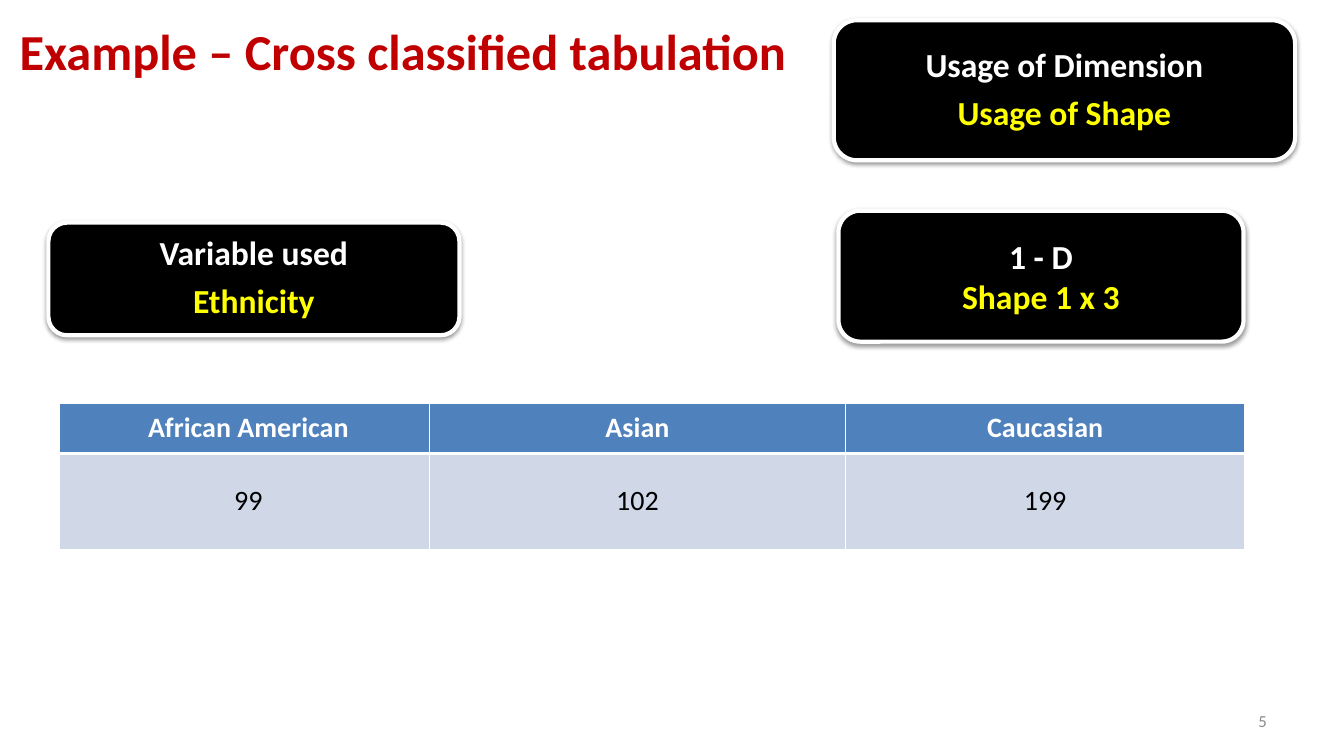
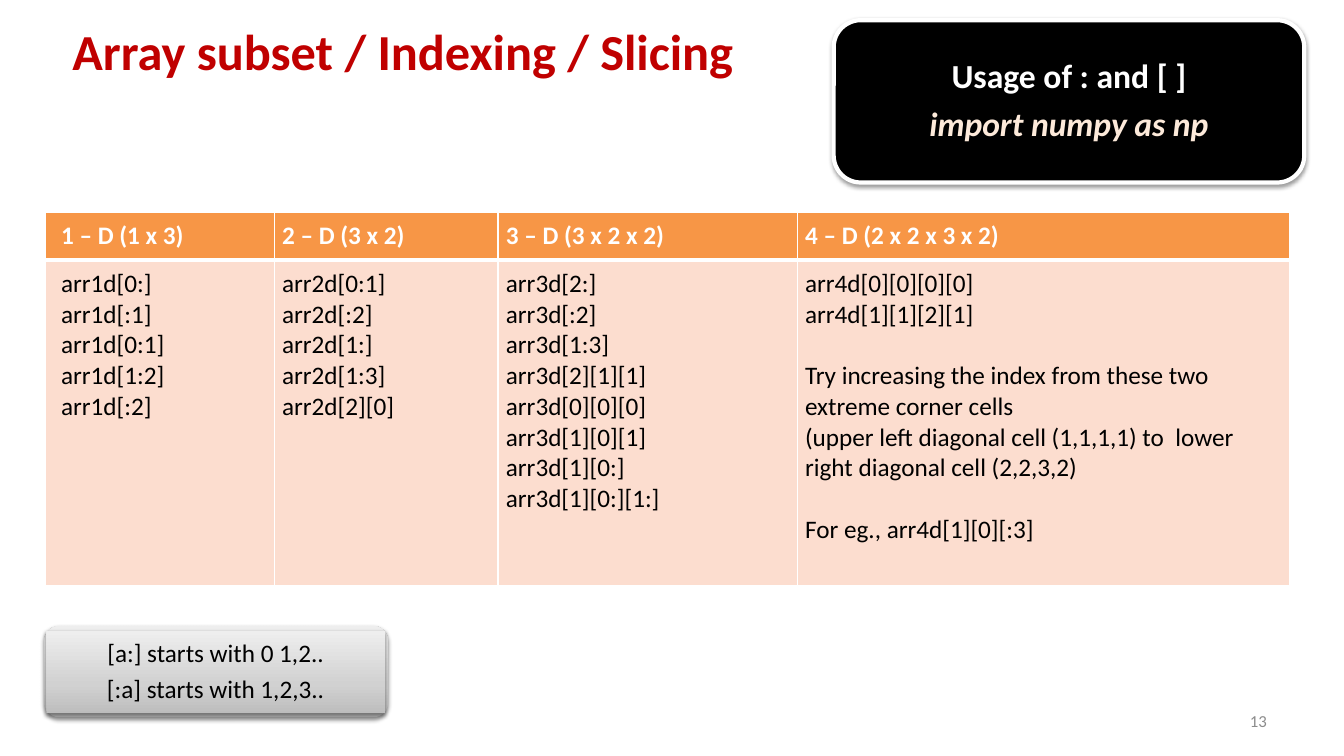
"""Build two slides on cross tabulation and array slicing."""
from copy import deepcopy

from pptx import Presentation
from pptx.dml.color import RGBColor
from pptx.enum.shapes import MSO_SHAPE
from pptx.enum.text import MSO_ANCHOR, PP_ALIGN
from pptx.oxml import parse_xml
from pptx.oxml.ns import nsdecls, qn
from pptx.util import Cm, Pt

COLOURS = {
    "title": "C00000", "number": "8C8C8C", "white": "FFFFFF", "black": "000000",
    "yellow": "FFFF00", "cream": "FDEADA", "blue": "4F81BD", "pale blue": "D0D8E8",
    "orange": "F79646", "pale orange": "FCDDCF",
}
GREYS = [(0, "BDBDBD"), (0.35, "D1D1D1"), (1, "EEEEEE")]
TITLE = {"size": Pt(36), "bold": True}
NUMBER = {"size": Pt(12)}
CARD = {"size": Pt(24), "bold": True}
NOTE = {"size": Pt(18)}
CENTRED = {"alignment": PP_ALIGN.CENTER}
RIGHT = {"alignment": PP_ALIGN.RIGHT}
LEFT = {"alignment": PP_ALIGN.LEFT}
CARD_SPACED = CENTRED | {"line_spacing": 0.9, "space_after": Pt(8.4)}
NOTE_SPACED = CENTRED | {"line_spacing": 0.9, "space_after": Pt(6.3)}
CARD_FRAME = {
    "word_wrap": True, "vertical_anchor": MSO_ANCHOR.MIDDLE,
    "margin_left": Cm(0.3), "margin_right": Cm(0.3),
    "margin_top": Cm(0.3), "margin_bottom": Cm(0.3),
}
BLANK_LINE = Pt(22)

SLIDES = [
    {
        "title": "Example – Cross classified tabulation",
        "number": "5",
        "cards": [
            ((21.01, 0.51, 11.63, 3.53), "Usage of Dimension", "Usage of Shape", "yellow", {}, CARD_SPACED),
            ((21.13, 5.31, 10.21, 3.3), "1 - D", "Shape 1 x 3", "yellow", {}, CENTRED),
            ((1.22, 5.61, 10.36, 2.84), "Variable used", "Ethnicity", "yellow", {}, CARD_SPACED),
        ],
        "table": {
            "origin": (1.5, 10.16), "columns": (9.32, 10.49, 10.06), "rows": (1.27, 2.41),
            "fills": ("blue", "pale blue"), "size": Pt(20),
            "paragraph": CENTRED, "anchor": MSO_ANCHOR.MIDDLE,
            "headings": ["African American", "Asian", "Caucasian"],
            "bodies": [[["99"]], [["102"]], [["199"]]],
        },
        "note": [],
    },
    {
        "title": "Array subset / Indexing / Slicing",
        "number": "13",
        "cards": [
            ((21.01, 0.51, 11.86, 4.09), "Usage of : and [ ]", "import numpy as np", "cream",
             {"italic": True}, CARD_SPACED),
        ],
        "table": {
            "origin": (1.14, 5.36), "columns": (5.77, 5.64, 7.54, 12.4), "rows": (1.2, 8.2),
            "fills": ("orange", "pale orange"), "size": Pt(18),
            "paragraph": LEFT, "anchor": MSO_ANCHOR.TOP,
            "headings": ["1 – D (1 x 3)", "2 – D (3 x 2)", "3 – D (3 x 2 x 2)", "4 – D (2 x 2 x 3 x 2)"],
            "bodies": [
                [["arr1d[0:]", "arr1d[:1]", "arr1d[0:1]", "arr1d[1:2]", "arr1d[:2]"]],
                [["arr2d[0:1]", "arr2d[:2]", "arr2d[1:]", "arr2d[1:3]", "arr2d[2][0]"]],
                [["arr3d[2:]", "arr3d[:2]", "arr3d[1:3]", "arr3d[2][1][1]", "arr3d[0][0][0]",
                  "arr3d[1][0][1]", "arr3d[1][0:]", "arr3d[1][0:][1:]"]],
                [["arr4d[0][0][0][0]", "arr4d[1][1][2][1]"],
                 ["Try increasing the index from these two extreme corner cells",
                  "(upper left diagonal cell (1,1,1,1) to  lower right diagonal cell (2,2,3,2)"],
                 ["For eg., arr4d[1][0][:3]"]],
            ],
        },
        "note": ["[a:] starts with 0 1,2..", "[:a] starts with 1,2,3.."],
    },
]


def write(frame, lines, colour, font_format, paragraph_format):
    """Append lines to a text frame and return the first new paragraph."""
    added = []
    for line in lines:
        paragraph = frame.paragraphs[0] if not frame.text else frame.add_paragraph()
        for name, value in paragraph_format.items():
            setattr(paragraph, name, value)
        run = paragraph.add_run()
        run.text = line
        for name, value in ({"name": "Calibri"} | font_format).items():
            setattr(run.font, name, value)
        run.font.color.rgb = RGBColor.from_string(COLOURS[colour])
        added.append(paragraph)
    return added[0]


def add_panel(slide, preset, box):
    """Add a softly shadowed shape with the shared text frame settings."""
    panel = slide.shapes.add_shape(preset, *map(Cm, box))
    panel.shadow.inherit = False
    panel._element.spPr.find(qn("a:effectLst")).append(parse_xml(
        f'<a:outerShdw {nsdecls("a")} blurRad="40000" dist="20000" dir="5400000" rotWithShape="0">'
        f'<a:srgbClr val="{COLOURS["black"]}"><a:alpha val="38000"/></a:srgbClr></a:outerShdw>'))
    for name, value in CARD_FRAME.items():
        setattr(panel.text_frame, name, value)
    return panel


deck = Presentation()
deck.slide_width, deck.slide_height = Cm(33.87), Cm(19.05)

for content in SLIDES:
    slide = deck.slides.add_slide(deck.slide_layouts[6])

    for part, box, colour, font_format, alignment in (
        ("title", (0.15, 0.25, 20.02, 2.06), "title", TITLE, CENTRED),
        ("number", (24.28, 17.65, 7.9, 1.02), "number", NUMBER, RIGHT),
    ):
        frame = slide.shapes.add_textbox(*map(Cm, box)).text_frame
        frame.word_wrap = True
        frame.vertical_anchor = MSO_ANCHOR.MIDDLE
        write(frame, [content[part]], colour, font_format, alignment)

    for box, heading, detail, accent, detail_format, spacing in content["cards"]:
        card = add_panel(slide, MSO_SHAPE.ROUNDED_RECTANGLE, box)
        card.fill.solid()
        card.fill.fore_color.rgb = RGBColor.from_string(COLOURS["black"])
        card.line.color.rgb = RGBColor.from_string(COLOURS["white"])
        card.line.width = Pt(3)
        write(card.text_frame, [heading], "white", CARD, spacing)
        write(card.text_frame, [detail], accent, CARD | detail_format, spacing)

    plan = content["table"]
    table = slide.shapes.add_table(
        2, len(plan["columns"]), *map(Cm, plan["origin"]),
        Cm(sum(plan["columns"])), Cm(sum(plan["rows"]))).table
    table.horz_banding = False
    for column, width in zip(table.columns, plan["columns"]):
        column.width = Cm(width)
    for row, height in zip(table.rows, plan["rows"]):
        row.height = Cm(height)
    contents = [[[[heading]] for heading in plan["headings"]], plan["bodies"]]
    for row_index, row_contents in enumerate(contents):
        is_header = row_index == 0
        thick_side = "B" if is_header else "T"
        for column_index, groups in enumerate(row_contents):
            cell = table.cell(row_index, column_index)
            cell.vertical_anchor = plan["anchor"]
            cell.margin_left = Cm(0.4 if column_index == 0 else 0.2)
            cell.margin_right = cell.margin_top = cell.margin_bottom = Cm(0.2)
            for side in "LRTB":
                width = Pt(3 if side == thick_side else 1)
                cell._tc.get_or_add_tcPr().append(parse_xml(
                    f'<a:ln{side} {nsdecls("a")} w="{width}"><a:solidFill>'
                    f'<a:srgbClr val="{COLOURS["white"]}"/></a:solidFill></a:ln{side}>'))
            cell.fill.solid()
            cell.fill.fore_color.rgb = RGBColor.from_string(COLOURS[plan["fills"][row_index]])
            for group_index, lines in enumerate(groups):
                first = write(cell.text_frame, lines, "white" if is_header else "black",
                              {"size": plan["size"], "bold": is_header}, plan["paragraph"])
                if group_index:
                    first.space_before = BLANK_LINE

    if content["note"]:
        for preset, box in (
            (MSO_SHAPE.ROUNDED_RECTANGLE, (1.12, 15.77, 8.66, 2.31)),
            (MSO_SHAPE.RECTANGLE, (1.17, 15.9, 8.53, 2.08)),
        ):
            note = add_panel(slide, preset, box)
            note.line.fill.background()
            note.fill.gradient()
            note.fill.gradient_angle = 90
            stops = note._element.spPr.find(qn("a:gradFill")).find(qn("a:gsLst"))
            stops.append(deepcopy(stops[0]))
            for stop, (position, grey) in zip(note.fill.gradient_stops, GREYS):
                stop.position = position
                stop.color.rgb = RGBColor.from_string(grey)
        write(note.text_frame, content["note"], "black", NOTE, NOTE_SPACED)

deck.save("out.pptx")
